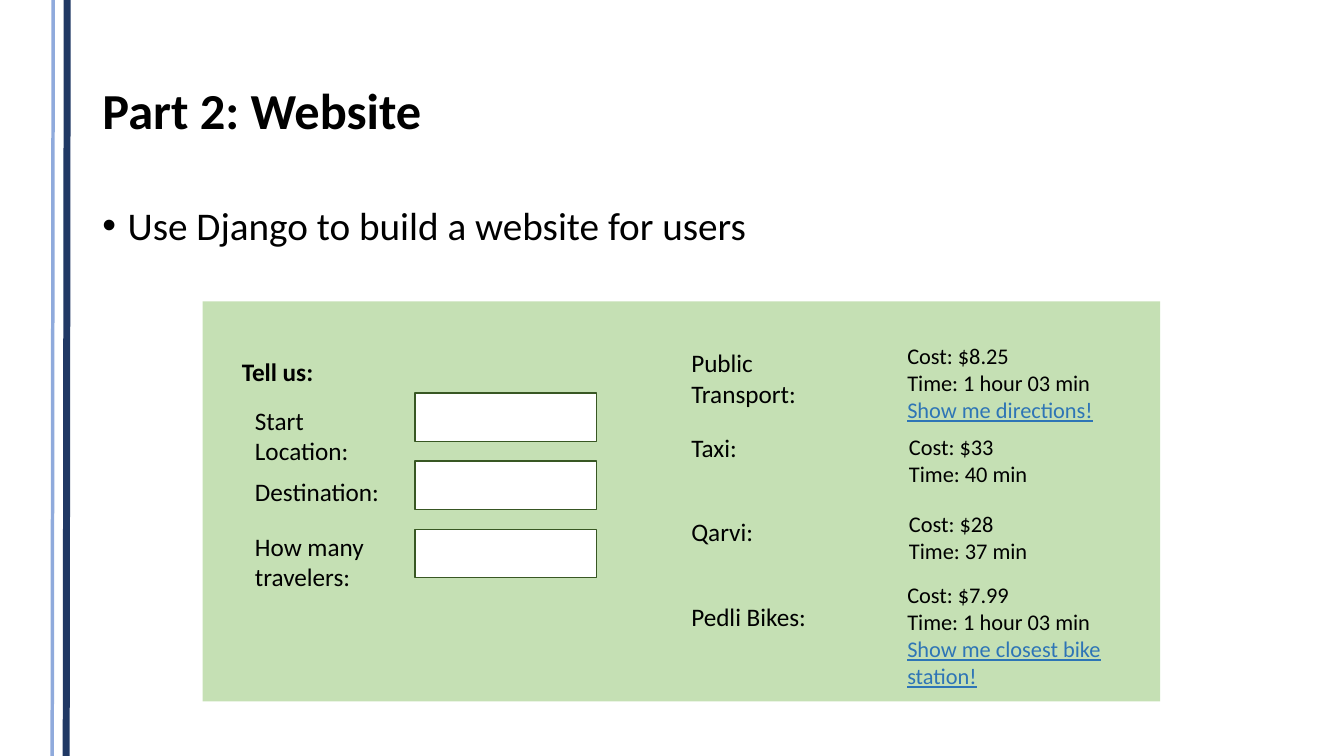
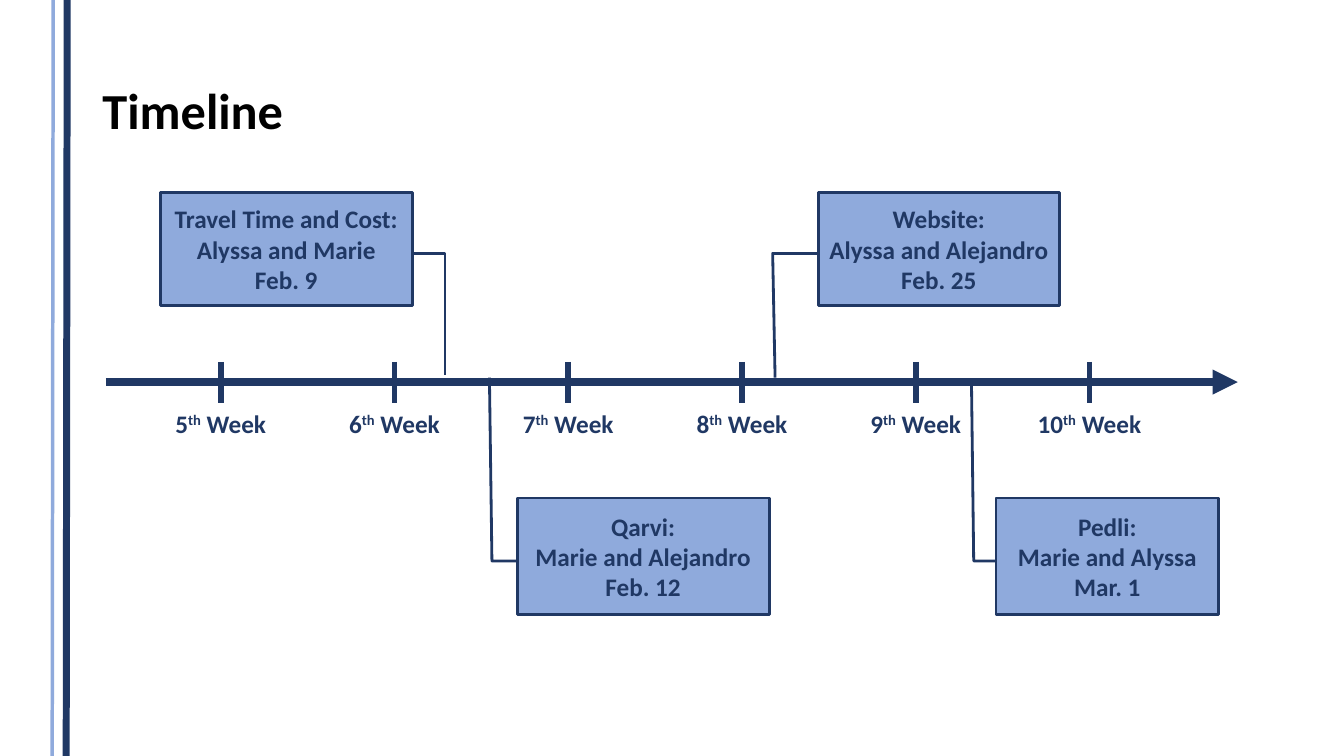
"""Build the website and timeline slides of the travel project deck."""

from dataclasses import dataclass

from lxml.etree import SubElement
from pptx import Presentation
from pptx.dml.color import RGBColor
from pptx.enum.shapes import MSO_CONNECTOR, MSO_SHAPE
from pptx.enum.text import MSO_ANCHOR, PP_ALIGN
from pptx.oxml.ns import qn
from pptx.util import Pt


@dataclass(frozen=True)
class Theme:
    """Colours and type sizes shared by the slides."""

    font: str = "Calibri"
    black: str = "000000"
    white: str = "FFFFFF"
    navy: str = "203864"
    sky: str = "8FAADC"
    panel: str = "C5E0B4"
    field: str = "385723"
    link: str = "2E75B6"
    title_size: int = 36
    body_size: int = 28
    label_size: int = 18
    detail_size: int = 16


THEME = Theme()
TITLE_ONLY, TITLE_AND_CONTENT = 5, 1


def box(left, top, width, height):
    """Return a frame given in points as lengths."""
    return Pt(left), Pt(top), Pt(width), Pt(height)


def colour(value):
    """Return a colour from its hexadecimal value."""
    return RGBColor.from_string(value)


def write_text(shape, paragraphs, align=PP_ALIGN.LEFT, line_spacing=None,
               space_before=None, **text_format):
    """Write paragraphs, each a string or a list of (text, format) runs."""
    frame = shape.text_frame
    frame.word_wrap = True
    for index, content in enumerate(paragraphs):
        paragraph = frame.add_paragraph() if index else frame.paragraphs[0]
        paragraph.alignment = align
        if line_spacing is not None:
            paragraph.line_spacing = line_spacing
        if space_before is not None:
            paragraph.space_before = Pt(space_before)
        runs = [(content, {})] if isinstance(content, str) else content
        for text, changes in runs:
            run = paragraph.add_run()
            run.text = text
            format_run(run, **{**text_format, **changes})
    return shape


def format_run(run, size=THEME.label_size, color=THEME.black, bold=False,
               underline=False, raised=False):
    """Set the font of one run."""
    font = run.font
    font.name, font.size, font.bold = THEME.font, Pt(size), bold
    font.underline = underline
    font.color.rgb = colour(color)
    if raised:
        run._r.get_or_add_rPr().set("baseline", "30000")


def add_label(shapes, frame, paragraphs, **text_format):
    """Add a wrapping text box."""
    return write_text(shapes.add_textbox(*box(*frame)), paragraphs, **text_format)


def add_block(shapes, kind, frame, fill, line=None, width=1):
    """Add a flat filled shape with an optional outline."""
    shape = shapes.add_shape(kind, *box(*frame))
    shape.shadow.inherit = False
    shape.fill.solid()
    shape.fill.fore_color.rgb = colour(fill)
    if line:
        shape.line.color.rgb = colour(line)
        shape.line.width = Pt(width)
    else:
        shape.line.fill.background()
    return shape


def add_line(shapes, start, end, color, width, arrow=False):
    """Add a straight line, with an arrowhead at its end if asked."""
    line = shapes.add_connector(MSO_CONNECTOR.STRAIGHT,
                                *(Pt(value) for value in (*start, *end)))
    line.line.color.rgb = colour(color)
    line.line.width = Pt(width)
    properties = line.element.spPr
    if arrow:
        SubElement(properties.find(qn("a:ln")), qn("a:tailEnd"), type="triangle")
    SubElement(properties, qn("a:effectLst"))
    return line


def add_bands(presentation, slide):
    """Draw the two side bands and move them to the slide master."""
    master = presentation.slide_master
    for x, color, width in ((48, THEME.navy, 5), (38, THEME.sky, 2.5)):
        band = add_line(slide.shapes, (x, 0), (x - 0.7, 540), color, width)
        next_id = max(shape.shape_id for shape in master.shapes) + 1
        band.element.nvCxnSpPr.cNvPr.set("id", str(next_id))
        master.shapes.element.append(band.element)


def add_titled_slide(presentation, layout, title):
    """Add a slide with its title placed and formatted."""
    slide = presentation.slides.add_slide(presentation.slide_layouts[layout])
    shape = slide.shapes.title
    shape.left, shape.top, shape.width, shape.height = box(66, 28.8, 828, 104.4)
    write_text(shape, [title], size=THEME.title_size, bold=True, line_spacing=0.9)
    shape.text_frame.vertical_anchor = MSO_ANCHOR.MIDDLE
    return slide


def fill_body(slide, items):
    """Place the bulleted list."""
    body = slide.placeholders[1]
    body.left, body.top, body.width, body.height = box(66, 144, 828, 61.2)
    write_text(body, items, size=THEME.body_size, line_spacing=0.9, space_before=10)
    for properties in body.element.iter(qn("a:pPr")):
        properties.set("marL", str(Pt(18)))
        properties.set("indent", str(-Pt(18)))


def add_input_form(shapes):
    """Add the questions with their input fields."""
    add_label(shapes, (165.6, 251.3, 104.4, 28.8), ["Tell us:"], bold=True)
    questions = (("Start Location:", 286), ("Destination:", 337),
                 ("How many travelers:", 376))
    for index, (question, top) in enumerate(questions):
        add_block(shapes, MSO_SHAPE.RECTANGLE,
                  (296.6, 280.8 + 48.6 * index, 129.6, 34.6),
                  THEME.white, THEME.field)
        add_label(shapes, (175, top, 104.4, 22.3), [question])


def add_travel_options(shapes):
    """Add each way to travel with its cost, time and link."""
    options = (
        ("Public Transport:", 641, 241.2, "$8.25", "1 hour 03 min",
         "Show me directions!"),
        ("Taxi:", 642.2, 306, "$33", "40 min", None),
        ("Qarvi:", 642.2, 360.7, "$28", "37 min", None),
        ("Pedli Bikes:", 641, 411.8, "$7.99", "1 hour 03 min",
         "Show me closest bike station!"),
    )
    for index, (name, left, top, cost, time, link) in enumerate(options):
        add_label(shapes, (486.7, 244.8 + 60.3 * index, 115.2, 22.3), [name])
        details = [f"Cost: {cost}", f"Time: {time}"]
        if link:
            details.append([(link, {"color": THEME.link, "underline": True})])
        add_label(shapes, (left, top, 174, 50.4), details, size=THEME.detail_size)


def add_week(shapes, number, center):
    """Add one tick of the timeline and its label."""
    add_line(shapes, (center, 258.5), (center, 288), THEME.navy, 4)
    add_label(shapes, (center - 49.3, 288, 98.6, 28.8),
              [[(str(number), {}), ("th", {"raised": True}), (" Week", {})]],
              align=PP_ALIGN.CENTER, color=THEME.navy, bold=True)


def add_milestone(shapes, frame, lines, elbow, foot):
    """Add a callout whose leader bends at elbow and ends at foot."""
    shape = add_block(shapes, MSO_SHAPE.LINE_CALLOUT_2, frame,
                      THEME.sky, THEME.navy, 2)
    side = 1 if elbow > 0 else 0
    for index, value in enumerate((0.54, side, 0.54, elbow, *foot)):
        shape.adjustments[index] = value
    write_text(shape, lines, align=PP_ALIGN.CENTER, color=THEME.navy, bold=True)
    shape.text_frame.vertical_anchor = MSO_ANCHOR.MIDDLE


def build_website(presentation):
    """Build the website slide."""
    slide = add_titled_slide(presentation, TITLE_AND_CONTENT, "Part 2: Website")
    add_bands(presentation, slide)
    fill_body(slide, ["Use Django to build a website for users"])
    mockup = slide.shapes.add_group_shape().shapes
    add_block(mockup, MSO_SHAPE.RECTANGLE, (144.7, 215.3, 684, 285.8), THEME.panel)
    add_input_form(mockup)
    add_travel_options(mockup)


def build_timeline(presentation):
    """Build the timeline slide."""
    shapes = add_titled_slide(presentation, TITLE_ONLY, "Timeline").shapes
    add_line(shapes, (75.6, 272.9), (884.2, 272.9), THEME.navy, 6, arrow=True)
    for index in range(6):
        add_week(shapes, 5 + index, 157.7 + 124.1 * index)
    upper, lower = (137.5, 80.6), (355.7, 83.5)
    milestones = (
        (369.4, 180, lower, ("Qarvi:", "Marie and Alejandro", "Feb. 12"),
         -0.1, (-1.03, -0.11)),
        (114.5, 180, upper, ("Travel Time and Cost:", "Alyssa and Marie", "Feb. 9"),
         1.13, (1.62, 1.13)),
        (584.6, 172.1, upper, ("Website:", "Alyssa and Alejandro", "Feb. 25"),
         -0.19, (1.64, -0.18)),
        (711.4, 159.1, lower, ("Pedli:", "Marie and Alyssa", "Mar. 1"),
         -0.1, (-0.99, -0.11)),
    )
    for left, width, (top, height), lines, elbow, foot in milestones:
        add_milestone(shapes, (left, top, width, height), lines, elbow, foot)


def main():
    """Build and save the presentation."""
    presentation = Presentation()
    presentation.slide_width, presentation.slide_height = Pt(960), Pt(540)
    build_website(presentation)
    build_timeline(presentation)
    presentation.save("out.pptx")


if __name__ == "__main__":
    main()
